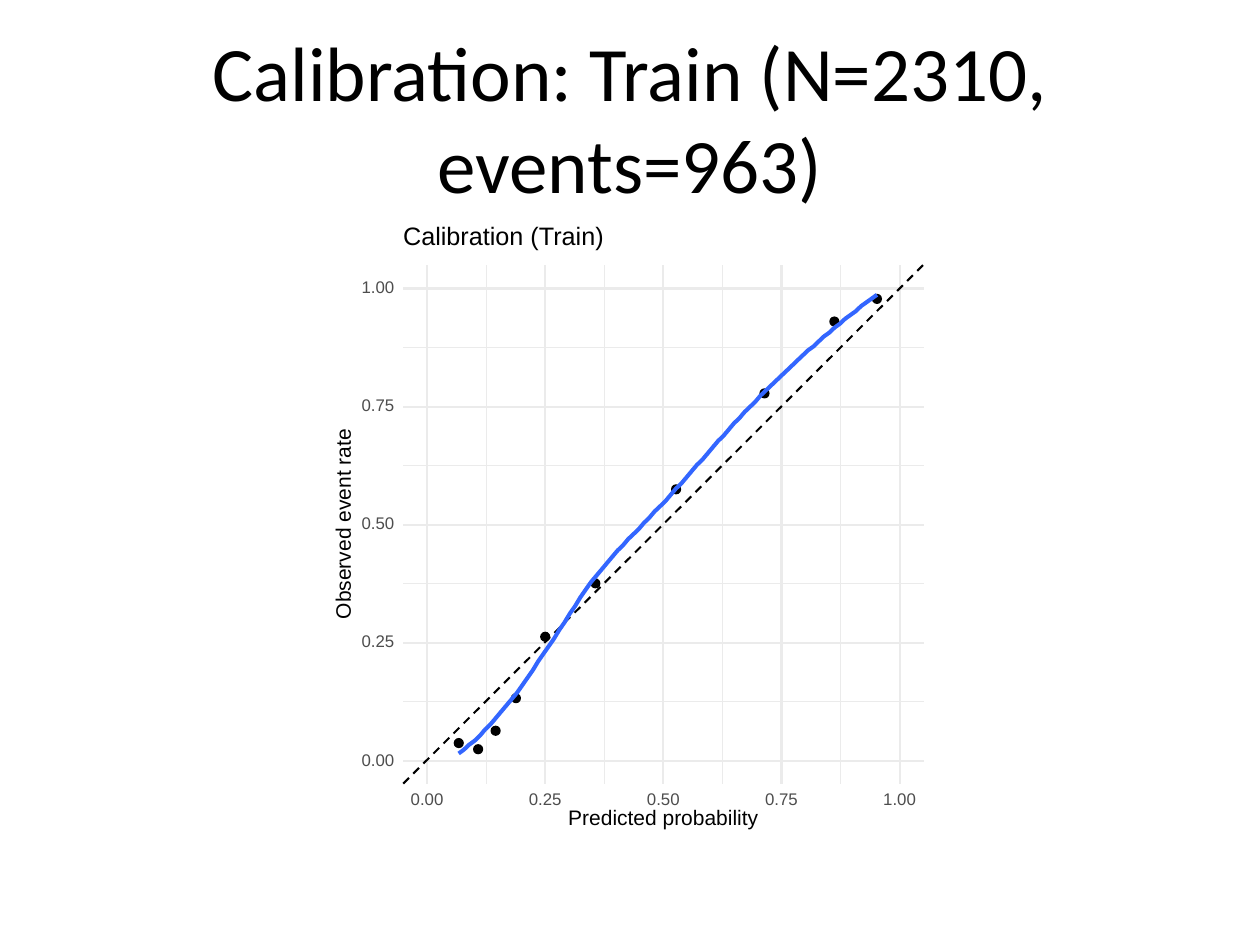
import pptx
import pptx.util
import pptx.dml.color
import pptx.enum.dml
import pptx.enum.shapes
import pptx.enum.text
from lxml import etree

Inches, Pt = pptx.util.Inches, pptx.util.Pt
RGBColor = pptx.dml.color.RGBColor
MSO_SHAPE = pptx.enum.shapes.MSO_SHAPE
PP_ALIGN = pptx.enum.text.PP_ALIGN

BLACK = RGBColor(0x00, 0x00, 0x00)
WHITE = RGBColor(0xFF, 0xFF, 0xFF)
GRID = RGBColor(0xEB, 0xEB, 0xEB)
TICK = RGBColor(0x4D, 0x4D, 0x4D)
BLUE = RGBColor(0x33, 0x66, 0xFF)

# Plot area and data scale, in inches
LEFT, RIGHT, TOP, BOTTOM = 3.2, 7.33, 2.1, 6.22
ZERO_X, ZERO_Y, UNIT = 3.39, 6.04, 3.75
DOT = 0.07

# Predicted probability, observed event rate
POINTS = [(0.067, 0.038), (0.108, 0.025), (0.145, 0.064), (0.188, 0.133),
          (0.25, 0.263), (0.356, 0.376), (0.527, 0.575), (0.714, 0.778),
          (0.862, 0.93), (0.952, 0.978)]

# Heights of the smoothed curve at equal steps from CURVE_START to CURVE_END
CURVE_START, CURVE_END = 3.64, 6.96
CURVE_Y = [
    5.98, 5.95, 5.91, 5.88, 5.84, 5.79, 5.75, 5.7, 5.65, 5.6,
    5.55, 5.5, 5.44, 5.38, 5.32, 5.25, 5.19, 5.13, 5.07, 5,
    4.94, 4.87, 4.81, 4.74, 4.68, 4.62, 4.57, 4.52, 4.47, 4.42,
    4.37, 4.33, 4.28, 4.24, 4.2, 4.15, 4.11, 4.06, 4.02, 3.98,
    3.93, 3.88, 3.84, 3.79, 3.74, 3.69, 3.65, 3.6, 3.55, 3.5,
    3.46, 3.41, 3.36, 3.32, 3.27, 3.23, 3.19, 3.14, 3.1, 3.06,
    3.02, 2.98, 2.94, 2.9, 2.86, 2.82, 2.78, 2.75, 2.71, 2.67,
    2.64, 2.6, 2.57, 2.53, 2.5, 2.47, 2.43, 2.4, 2.37, 2.34]


def x_at(value):
    return ZERO_X + value * UNIT


def y_at(value):
    return ZERO_Y - value * UNIT


def add_title(s, text):
    box = s.shapes.add_textbox(Inches(0.5), Inches(0.3), Inches(9), Inches(1.25))
    tf = box.text_frame
    tf.word_wrap = True
    tf.vertical_anchor = pptx.enum.text.MSO_ANCHOR.MIDDLE
    tf.text = text
    p = tf.paragraphs[0]
    p.alignment = PP_ALIGN.CENTER
    p.font.size, p.font.name, p.font.color.rgb = Pt(44), "Calibri", BLACK


def add_solid(plot, kind, box, color, line_width=None):
    sp = plot.shapes.add_shape(kind, *[Inches(v) for v in box])
    sp.shadow.inherit = False
    sp.fill.solid()
    sp.fill.fore_color.rgb = color
    if line_width:
        sp.line.color.rgb = color
        sp.line.width = Pt(line_width)
    else:
        sp.line.fill.background()


def add_line(plot, start, end, color, width, dashed=False):
    line = plot.shapes.add_connector(
        pptx.enum.shapes.MSO_CONNECTOR.STRAIGHT,
        *[Inches(v) for v in start + end])
    line.line.color.rgb = color
    line.line.width = Pt(width)
    if dashed:
        line.line.dash_style = pptx.enum.dml.MSO_LINE.DASH
    etree.SubElement(line._element.spPr, pptx.oxml.ns.qn("a:effectLst"))


def add_grid(plot, values, width):
    for value in values:
        y = y_at(value)
        add_line(plot, (LEFT, y), (RIGHT, y), GRID, width)
    for value in values:
        x = x_at(value)
        add_line(plot, (x, BOTTOM), (x, TOP), GRID, width)


def add_curve(plot):
    step = (CURVE_END - CURVE_START) / (len(CURVE_Y) - 1)
    vertices = [(Inches(CURVE_START + i * step), Inches(y))
                for i, y in enumerate(CURVE_Y)]
    builder = plot.shapes.build_freeform(*vertices[0])
    builder.add_line_segments(vertices[1:], close=False)
    sp = builder.convert_to_shape()
    sp.shadow.inherit = False
    sp.fill.background()
    sp.line.color.rgb = BLUE
    sp.line.width = Pt(2.33)


def add_label(plot, text, box, size, color=BLACK, rotation=0):
    label = plot.shapes.add_textbox(*[Inches(v) for v in box])
    label.rotation = rotation
    tf = label.text_frame
    tf.margin_left = tf.margin_right = tf.margin_top = tf.margin_bottom = 0
    tf.word_wrap = False
    tf.vertical_anchor = pptx.enum.text.MSO_ANCHOR.MIDDLE
    tf.text = text
    p = tf.paragraphs[0]
    p.alignment = PP_ALIGN.LEFT
    p.line_spacing = Pt(size)
    p.font.size, p.font.name, p.font.color.rgb = Pt(size), "Arial", color


def add_plot(s):
    plot = s.shapes.add_group_shape()

    # Backgrounds
    add_solid(plot, MSO_SHAPE.RECTANGLE, (0.5, 1.75, 9, 4.95), WHITE, 0.75)
    add_solid(plot, MSO_SHAPE.RECTANGLE, (2.59, 1.75, 4.82, 4.95), WHITE)

    # Minor and major grid, then the line of perfect calibration
    ticks = [i / 4 for i in range(5)]
    add_grid(plot, [tick + 0.125 for tick in ticks[:-1]], 0.58)
    add_grid(plot, ticks, 1.16)
    add_line(plot, (LEFT, BOTTOM), (RIGHT, TOP), BLACK, 1.16, dashed=True)

    # Observed points and smoothed curve
    for x, y in POINTS:
        box = (x_at(x) - DOT / 2, y_at(y) - DOT / 2, DOT, DOT)
        add_solid(plot, MSO_SHAPE.OVAL, box, BLACK, 0.77)
    add_curve(plot)

    # Tick labels
    for tick in ticks:
        text = f"{tick:.2f}"
        add_label(plot, text, (2.87, y_at(tick) - 0.05, 0.26, 0.1), 9.6, TICK)
        add_label(plot, text, (x_at(tick) - 0.13, 6.3, 0.26, 0.1), 9.6, TICK)

    # Axis titles and plot title
    add_label(plot, "Predicted probability", (4.51, 6.43, 1.51, 0.15), 12)
    add_label(plot, "Observed event rate", (1.98, 4.1, 1.51, 0.12), 12, rotation=270)
    add_label(plot, "Calibration (Train)", (LEFT, 1.79, 1.6, 0.19), 14.4)


def main():
    prs = pptx.Presentation()
    prs.slide_width, prs.slide_height = Inches(10), Inches(7.5)
    s = prs.slides.add_slide(prs.slide_layouts[6])
    add_title(s, "Calibration: Train (N=2310, events=963)")
    add_plot(s)
    prs.save("out.pptx")


if __name__ == "__main__":
    main()
